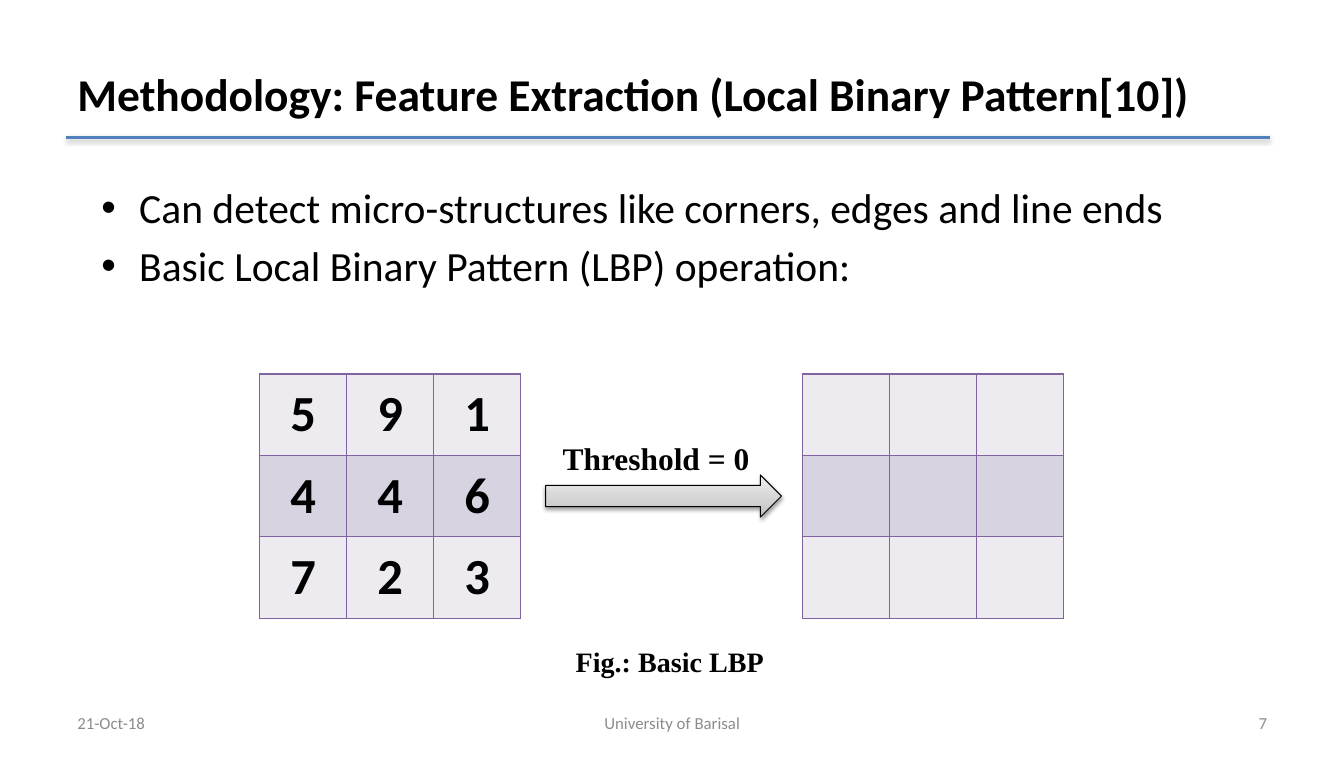
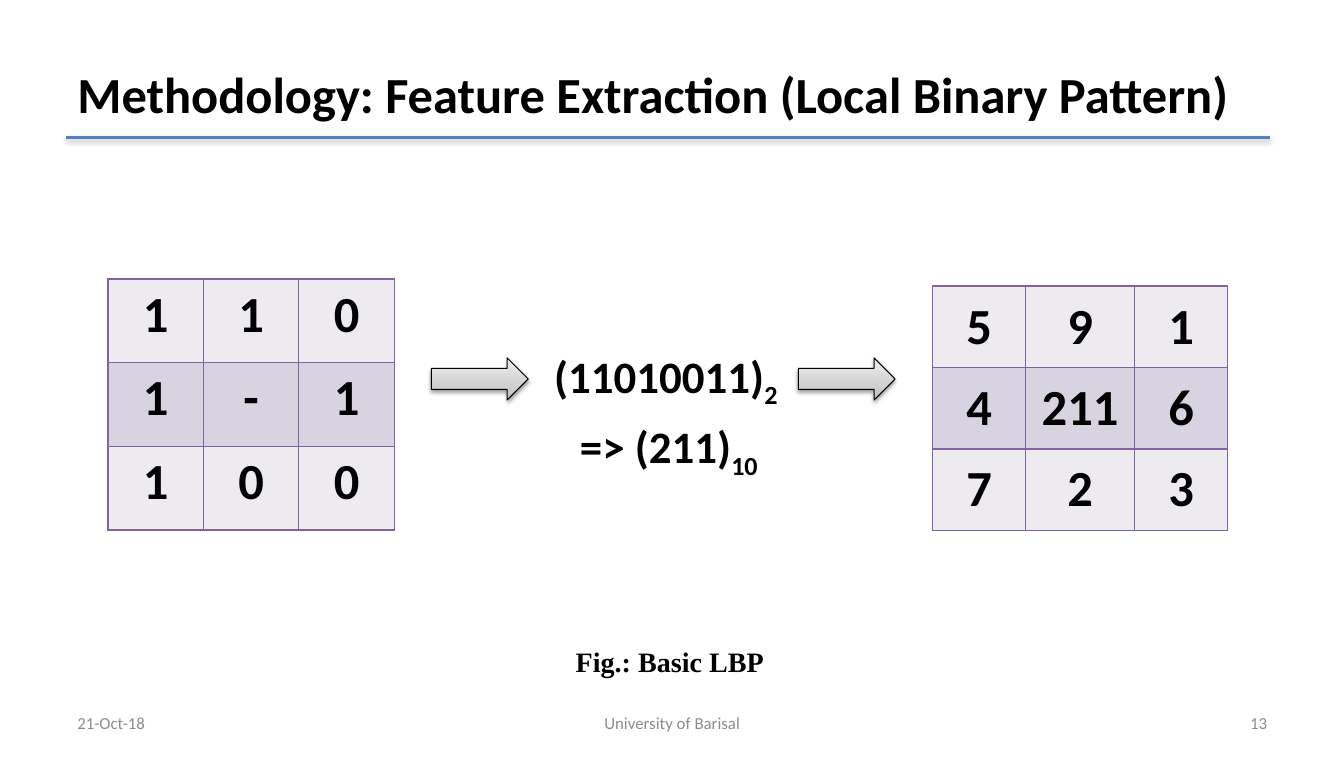
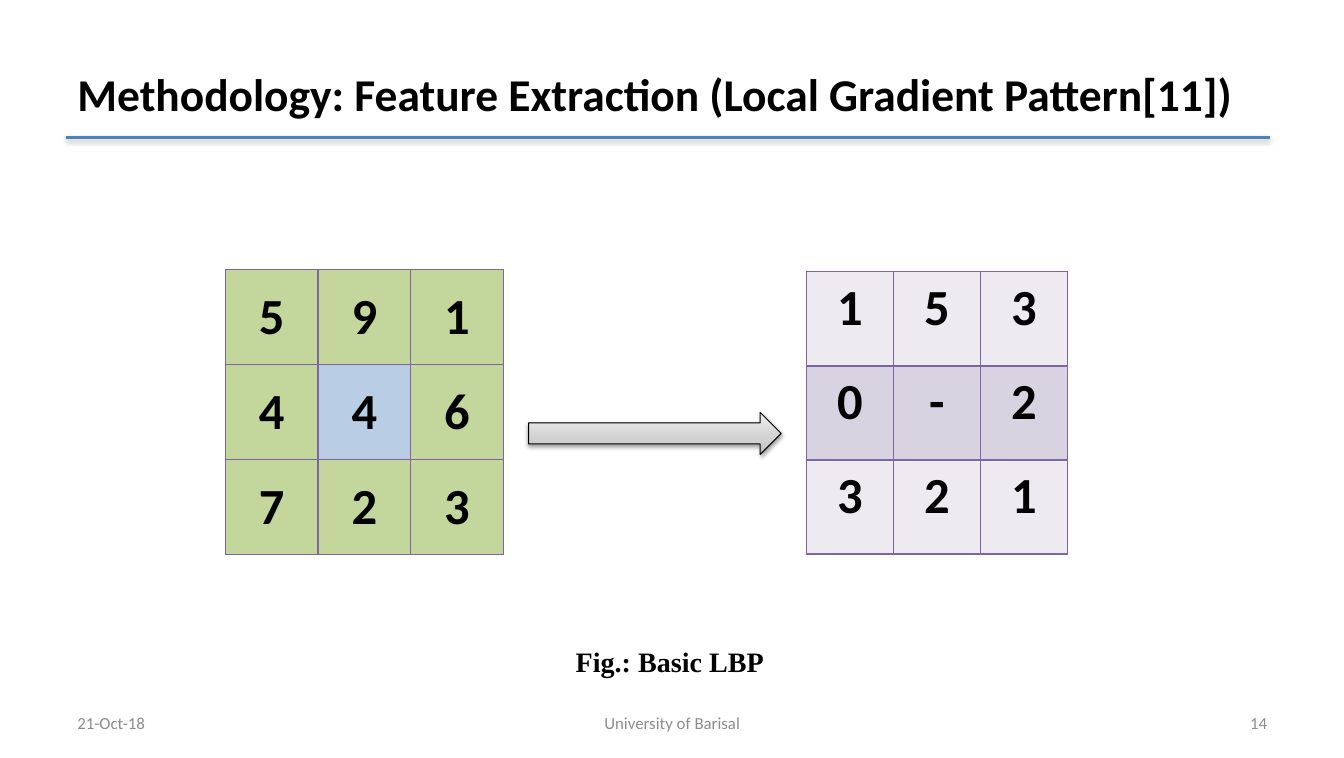
from copy import deepcopy
from dataclasses import dataclass

from lxml.etree import SubElement
from pptx import Presentation
from pptx.dml.color import RGBColor
from pptx.enum.shapes import MSO_CONNECTOR, MSO_SHAPE
from pptx.enum.text import MSO_ANCHOR, MSO_AUTO_SIZE, PP_ALIGN
from pptx.oxml.ns import qn
from pptx.util import Pt

LEFT, CENTER, RIGHT = PP_ALIGN.LEFT, PP_ALIGN.CENTER, PP_ALIGN.RIGHT
TOP, MIDDLE = MSO_ANCHOR.TOP, MSO_ANCHOR.MIDDLE
STRAIGHT, ARROW = MSO_CONNECTOR.STRAIGHT, MSO_SHAPE.RIGHT_ARROW
NO_FIT = MSO_AUTO_SIZE.NONE
TITLE_AND_BODY, TITLE_ONLY = 1, 5


@dataclass(frozen=True)
class Theme:
    ink: str = "000000"
    muted: str = "8C8C8C"
    rule: str = "4F81BD"
    border: str = "8064A2"
    light: str = "EDEAF0"
    dark: str = "D8D3E0"
    green: str = "C3D69B"
    blue: str = "B9CDE5"
    arrow: tuple = ((0, "BDBDBD"), (0.35, "D1D1D1"), (1, "EEEEEE"))
    sans: str = "Calibri"
    serif: str = "Times New Roman"
    title: float = 36
    long_title: float = 32.4
    digit: float = 36
    formula: float = 32
    body: float = 29.6
    label: float = 22.4
    caption: float = 20
    footer: float = 12


THEME = Theme()
BANDS = [[THEME.light] * 3, [THEME.dark] * 3, [THEME.light] * 3]
MARKED = [[THEME.green] * 3, [THEME.green, THEME.blue, THEME.green], [THEME.green] * 3]
SAMPLE = ("5 9 1", "4 4 6", "7 2 3")


@dataclass(frozen=True)
class Box:
    left: float
    top: float
    width: float
    height: float

    def area(self, left, top, width, height):
        """A box whose position is measured from this one."""
        return Box(self.left + left, self.top + top, width, height)

    def lengths(self):
        return [Pt(v) for v in (self.left, self.top, self.width, self.height)]


TITLE = Box(48, 21.6, 862, 90)
RULE = Box(46.8, 97.9, 858.2, 0)
STAGE = Box(48, 120, 862, 376)
FOOTER = Box(48, 500.4, 862, 28.8)


# Text
def write(frame, lines, *, size, font=THEME.sans, color=THEME.ink, bold=False,
          align=LEFT, anchor=TOP, space=None):
    """Each line is a string or a list of (text, baseline) pairs."""
    frame.word_wrap = True
    frame.vertical_anchor = anchor
    for index, line in enumerate(lines):
        para = frame.paragraphs[0] if index == 0 else frame.add_paragraph()
        para.alignment = align
        if space is not None:
            para.space_before = Pt(space)
        for text, baseline in [(line, 0)] if isinstance(line, str) else line:
            span = para.add_run()
            span.text = text
            span.font.size, span.font.name, span.font.bold = Pt(size), font, bold
            span.font.color.rgb = RGBColor.from_string(color)
            if baseline:
                span.font._element.set("baseline", str(baseline * 1000))


def add_text(page, box, lines, **style):
    write(page.shapes.add_textbox(*box.lengths()).text_frame, lines, **style)


def fill_placeholder(shape, box, lines, **style):
    shape.left, shape.top, shape.width, shape.height = box.lengths()
    shape.text_frame.auto_size = NO_FIT
    write(shape.text_frame, lines, **style)


# Drawn objects
def add_shadow(shape):
    effects = SubElement(shape._element.spPr, qn("a:effectLst"))
    shadow = SubElement(effects, qn("a:outerShdw"), blurRad=str(Pt(3.1)),
                        dist=str(Pt(1.6)), dir="5400000", rotWithShape="0")
    color = SubElement(shadow, qn("a:srgbClr"), val=THEME.ink)
    SubElement(color, qn("a:alpha"), val="38000")


def add_arrow(page, box):
    arrow = page.shapes.add_shape(ARROW, *box.lengths())
    arrow.fill.gradient()
    arrow.fill.gradient_angle = 90
    stops = arrow._element.spPr.find(".//" + qn("a:gsLst"))
    stops.append(deepcopy(stops[-1]))
    for stop, (position, color) in zip(arrow.fill.gradient_stops, THEME.arrow):
        stop.position = position
        stop.color.rgb = RGBColor.from_string(color)
    arrow.line.color.rgb = RGBColor.from_string(THEME.ink)
    arrow.line.width = Pt(0.75)
    add_shadow(arrow)


def add_borders(cell):
    properties = cell._tc.get_or_add_tcPr()
    for side in ("lnL", "lnR", "lnT", "lnB"):
        line = SubElement(properties, qn("a:" + side), w=str(Pt(1)))
        fill = SubElement(line, qn("a:solidFill"))
        SubElement(fill, qn("a:srgbClr"), val=THEME.border)


def add_grid(page, box, rows=None, *, fills=BANDS, weights=(1, 1, 1), anchor=MIDDLE):
    """A 3 by 3 pixel table; without rows its cells stay blank."""
    table = page.shapes.add_table(3, 3, *box.lengths()).table
    table.first_row = table.horz_banding = False
    for column, weight in zip(table.columns, weights):
        column.width = Pt(box.width * weight / sum(weights))
    for r, row in enumerate(table.rows):
        row.height = Pt(box.height / 3)
        for c, cell in enumerate(row.cells):
            add_borders(cell)
            cell.fill.solid()
            cell.fill.fore_color.rgb = RGBColor.from_string(fills[r][c])
            if rows:
                write(cell.text_frame, [rows[r].split()[c]], size=THEME.digit,
                      bold=True, align=CENTER)
                cell.vertical_anchor = anchor


# Shared regions
def add_rule(page, box):
    rule = page.shapes.add_connector(STRAIGHT, Pt(box.left), Pt(box.top),
                                     Pt(box.left + box.width), Pt(box.top))
    rule.line.color.rgb = RGBColor.from_string(THEME.rule)
    rule.line.width = Pt(2)
    add_shadow(rule)


def add_footer(page, box, number):
    side, middle = 223, 303
    for text, left, width, align in (
        ("21-Oct-18", 0, side, LEFT),
        ("University of Barisal", (box.width - middle) / 2, middle, CENTER),
        (str(number), box.width - side, side, RIGHT),
    ):
        add_text(page, box.area(left, 0, width, box.height), [text], size=THEME.footer,
                 color=THEME.muted, align=align, anchor=MIDDLE)


def add_page(deck, layout, topic, number, size=THEME.long_title):
    page = deck.slides.add_slide(deck.slide_layouts[layout])
    fill_placeholder(page.shapes.title, TITLE,
                     [f"Methodology: Feature Extraction ({topic})"],
                     size=size, bold=True, anchor=MIDDLE)
    add_rule(page, RULE)
    add_footer(page, FOOTER, number)
    add_text(page, STAGE.area(170.2, 335.8, 522, 39.6), ["Fig.: Basic LBP "],
             size=THEME.caption, font=THEME.serif, bold=True, align=CENTER, space=4)
    return page


# Slides
def threshold_page(deck, stage):
    page = add_page(deck, TITLE_AND_BODY, "Local Binary Pattern[10]", 7)
    fill_placeholder(page.placeholders[1], stage.area(17, 6, 828, 102), [
        "Can detect micro-structures like corners, edges and line ends",
        "Basic Local Binary Pattern (LBP) operation:",
    ], size=THEME.body)
    add_grid(page, stage.area(137, 146.4, 186, 174), SAMPLE)
    add_grid(page, stage.area(523.7, 146.4, 186, 174))
    add_arrow(page, stage.area(340.8, 218.4, 168, 30))
    add_text(page, stage.area(345.8, 189, 186, 30), ["Threshold = 0"],
             size=THEME.label, font=THEME.serif, bold=True, space=4.5)


def binary_code_page(deck, stage):
    page = add_page(deck, TITLE_ONLY, "Local Binary Pattern", 13, THEME.title)
    add_grid(page, stage.area(29, 78.7, 204, 179), ("1 1 0", "1 - 1", "1 0 0"), anchor=TOP)
    add_text(page, stage.area(266, 124.8, 325, 121), [
        [("(11010011)", 0), ("2 ", -25)],
        [("=> (211)", 0), ("10", -25)],
    ], size=THEME.formula, bold=True, align=CENTER, space=6.4)
    for left in (259.4, 520.8):
        add_arrow(page, stage.area(left, 135, 69, 30))
    add_grid(page, stage.area(616.6, 83.8, 210, 174), ("5 9 1", "4 211 6", "7 2 3"),
             weights=(66, 78, 66))


def gradient_page(deck, stage):
    page = add_page(deck, TITLE_ONLY, "Local Gradient Pattern[11]", 14)
    add_grid(page, stage.area(112.6, 72, 198, 203), SAMPLE, fills=MARKED)
    add_grid(page, stage.area(526.6, 73.7, 186, 201), ("1 5 3", "0 - 2", "3 2 1"), anchor=TOP)
    add_arrow(page, stage.area(328.6, 173.8, 180, 30))


def main():
    deck = Presentation()
    deck.slide_width, deck.slide_height = Pt(957.6), Pt(540)
    for build in (threshold_page, binary_code_page, gradient_page):
        build(deck, STAGE)
    deck.save("out.pptx")


if __name__ == "__main__":
    main()
